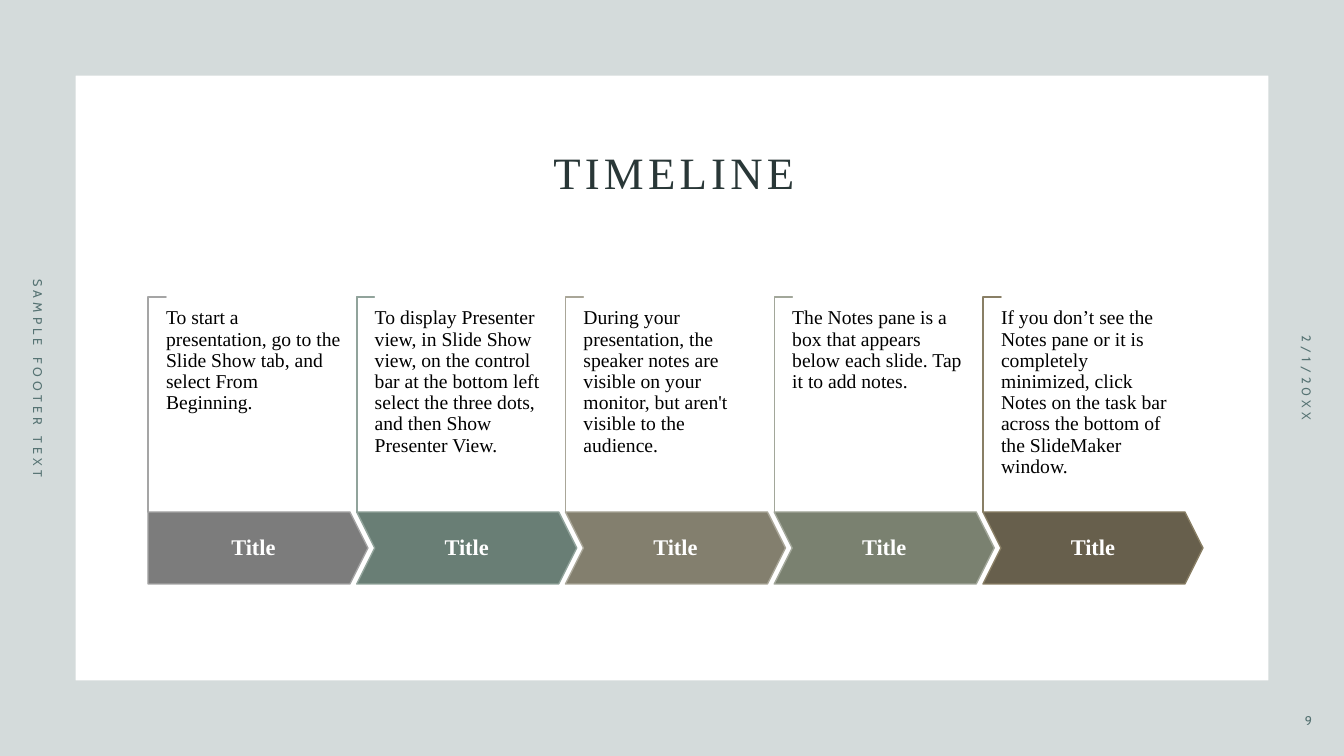
from pptx import Presentation
from pptx.dml.color import RGBColor
from pptx.enum.shapes import MSO_SHAPE
from pptx.enum.text import MSO_ANCHOR, PP_ALIGN
from pptx.oxml.ns import qn
from pptx.util import Pt
from lxml import etree

FRAME, CORNER = MSO_SHAPE.FRAME, MSO_SHAPE.CORNER
PLATE, CHEVRON = MSO_SHAPE.PENTAGON, MSO_SHAPE.CHEVRON
LEFT, CENTER, RIGHT = PP_ALIGN.LEFT, PP_ALIGN.CENTER, PP_ALIGN.RIGHT
TOP, MIDDLE, BOTTOM = MSO_ANCHOR.TOP, MSO_ANCHOR.MIDDLE, MSO_ANCHOR.BOTTOM

SCALE = 914400 / 100.8
WIDE, HIGH = 1344, 756
SERIF, SANS = "Times New Roman", "Cabin"
TEAL, DARK, WHITE, BLACK = "557272", "293737", "FFFFFF", "000000"

# Fill, line, text of each step
STEPS = [
    ("7C7C7C", "A5A5A5", "To start a presentation, go to the Slide Show tab, "
     "and select From Beginning."),
    ("697E75", "91A39B", "To display Presenter view, in Slide Show view, on the "
     "control bar at the bottom left select the three dots, and then Show "
     "Presenter View."),
    ("837F6E", "A9A698", "During your presentation, the speaker notes are "
     "visible on your monitor, but aren't visible to the audience."),
    ("7A8170", "A2A79A", "The Notes pane is a box that appears below each "
     "slide. Tap it to add notes."),
    ("675F4C", "897F65", "If you don’t see the Notes pane or it is completely "
     "minimized, click Notes on the task bar across the bottom of the "
     "SlideMaker window."),
]


def px(n):
    return round(n * SCALE)


def rgb(code):
    return RGBColor.from_string(code)


def shape(slide, kind, box, fill, line=None, adj=()):
    item = slide.shapes.add_shape(kind, *map(px, box))
    item.shadow.inherit = False
    item.fill.solid()
    item.fill.fore_color.rgb = rgb(fill)
    if line:
        item.line.color.rgb = rgb(line)
        item.line.width = Pt(1)
    else:
        item.line.fill.background()
    for i, part in enumerate(adj):
        item.adjustments[i] = part
    return item


def write(item, text, size, color, font=SERIF, align=LEFT, anchor=TOP,
          pad=(10, 5), bold=False, gap=0, lead=None):
    frame = item.text_frame
    frame.text = text
    frame.word_wrap = True
    frame.vertical_anchor = anchor
    frame.margin_left = frame.margin_right = px(pad[0])
    frame.margin_top = frame.margin_bottom = px(pad[1])
    para = frame.paragraphs[0]
    para.alignment = align
    para.line_spacing = lead
    face = para.runs[0].font
    face.name, face.size, face.bold = font, Pt(size), bold
    face.color.rgb = rgb(color)
    if gap:
        para.runs[0]._r.get_or_add_rPr().set("spc", str(gap * 100))


def label(slide, box, text, size, color, turn=0, **style):
    item = slide.shapes.add_textbox(*map(px, box))
    item.rotation = turn
    write(item, text, size, color, **style)


def border(slide, x, y, w, h):
    # Translucent frame around the white page
    ring = shape(slide, FRAME, (x, y, w, h), TEAL, adj=[0.1])
    tint = ring._element.spPr.find(qn("a:solidFill"))[0]
    etree.SubElement(tint, qn("a:alpha")).set("val", "25000")


def margin(slide, x, y, w, h):
    # Footer and date run down the sides, number sits in the corner
    small = dict(font=SANS, anchor=MIDDLE, gap=3)
    long, thick = 454, 45
    for mid, text in ((x + 38, "SAMPLE FOOTER TEXT"), (x + w - 37, "2/1/20XX")):
        box = (mid - long / 2, y + (h - thick) / 2, long, thick)
        label(slide, box, text, 9, TEAL, turn=90, align=CENTER, **small)
    label(slide, (x + w - 118, y + h - 55, 96, 40), "9", 9, TEAL,
          align=RIGHT, **small)


def step(slide, x, y, w, h, kind, fill, line, text):
    band, lip = 72, 18
    leg = h - band
    # Bracket: a corner turned clockwise about its centre
    box = (x + (lip - leg) / 2, y + (leg - lip) / 2, leg, lip)
    shape(slide, CORNER, box, WHITE, line, [0.01, 0.01]).rotation = 90
    # Arrow with its title
    arrow = shape(slide, kind, (x, y + leg, w, band), fill, line, [0.25])
    write(arrow, "Title", 16, WHITE, align=CENTER, anchor=MIDDLE,
          pad=(11, 22), bold=True, lead=0.9)
    # Description
    label(slide, (x + lip, y + 11, 178, 193), text, 14, BLACK,
          pad=(0, 0), lead=0.9)


def timeline(slide, x, y, w, h):
    wide = 220
    pitch = (w - wide) / (len(STEPS) - 1)
    for i, (fill, line, text) in enumerate(STEPS):
        kind = CHEVRON if i else PLATE
        step(slide, x + i * pitch, y, wide, h, kind, fill, line, text)


def main():
    deck = Presentation()
    deck.slide_width, deck.slide_height = px(WIDE), px(HIGH)
    slide = deck.slides.add_slide(deck.slide_layouts[6])
    border(slide, 0, 0, WIDE, HIGH)
    label(slide, (151, 124, 1046, 80), "TIMELINE", 32, DARK,
          align=CENTER, anchor=BOTTOM, gap=3, lead=0.9)
    timeline(slide, 148, 297, 1055, 287)
    margin(slide, 0, 0, WIDE, HIGH)
    deck.save("out.pptx")


if __name__ == "__main__":
    main()
